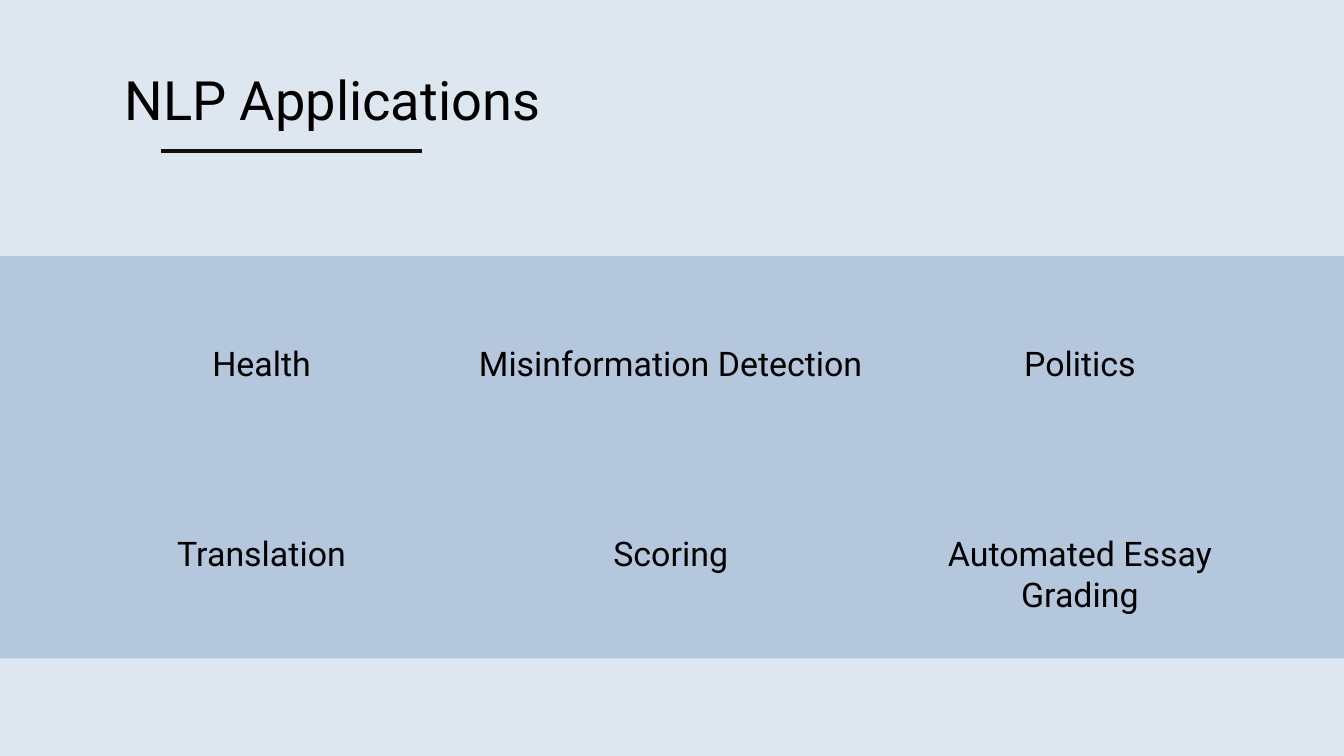
"""Build the NLP Applications slide: a title above a band with a grid of six topics."""
from lxml import etree
from pptx import Presentation
from pptx.dml.color import RGBColor
from pptx.enum.shapes import MSO_CONNECTOR, MSO_SHAPE
from pptx.enum.text import MSO_ANCHOR, MSO_AUTO_SIZE, PP_ALIGN
from pptx.oxml.ns import qn
from pptx.util import Inches, Pt

RECTANGLE = MSO_SHAPE.RECTANGLE
STRAIGHT = MSO_CONNECTOR.STRAIGHT
TOP, MIDDLE = MSO_ANCHOR.TOP, MSO_ANCHOR.MIDDLE
LEFT, CENTER = PP_ALIGN.LEFT, PP_ALIGN.CENTER
NO_FIT = MSO_AUTO_SIZE.NONE

THEME = {
    "font": "Roboto",
    "title_size": Pt(32),
    "topic_size": Pt(20),
    "text": RGBColor.from_string("000000"),
    "background": RGBColor.from_string("DEE6EF"),
    "band": RGBColor.from_string("B4C7DC"),
    "rule": RGBColor.from_string("140E0E"),
}
TOPICS = [
    ["Health", "Misinformation Detection", "Politics"],
    ["Translation", "Scoring", "Automated Essay Grading"],
]
GRID_LEFT, GRID_TOP = Inches(0.55), Inches(2.81)
COLUMN_STEP, ROW_STEP = Inches(3.355), Inches(1.56)
TOPIC_WIDTH, TOPIC_HEIGHT = Inches(3.19), Inches(1.18)


def write_text(shape, text, size, alignment, anchor):
    frame = shape.text_frame
    frame.word_wrap = True
    frame.auto_size = NO_FIT
    frame.vertical_anchor = anchor
    frame.margin_left = frame.margin_right = 0
    frame.margin_top = frame.margin_bottom = 0
    para = frame.paragraphs[0]
    para.alignment = alignment
    span = para.add_run()
    span.text = text
    span.font.name = THEME["font"]
    span.font.size = size
    span.font.color.rgb = THEME["text"]


deck = Presentation()
deck.slide_width, deck.slide_height = Inches(11.02), Inches(6.2)
page = deck.slides.add_slide(deck.slide_layouts.get_by_name("Title Only"))
page.background.fill.solid()
page.background.fill.fore_color.rgb = THEME["background"]

title = page.shapes.title
title.left, title.top = Inches(1.02), Inches(0.29)
title.width, title.height = Inches(9.92), Inches(1.04)
write_text(title, "NLP Applications", THEME["title_size"], LEFT, MIDDLE)

band = page.shapes.add_shape(RECTANGLE, 0, Inches(2.1), deck.slide_width, Inches(3.3))
band.shadow.inherit = False
band.fill.solid()
band.fill.fore_color.rgb = THEME["band"]
band.line.fill.background()

rule_y = Inches(1.24)
rule = page.shapes.add_connector(STRAIGHT, Inches(1.32), rule_y, Inches(3.46), rule_y)
rule.line.color.rgb = THEME["rule"]
rule.line.width = Pt(0)
etree.SubElement(rule._element.spPr, qn("a:effectLst"))

for row, topics in enumerate(TOPICS):
    for column, topic in enumerate(topics):
        box = page.shapes.add_textbox(
            GRID_LEFT + column * COLUMN_STEP,
            GRID_TOP + row * ROW_STEP,
            TOPIC_WIDTH,
            TOPIC_HEIGHT,
        )
        write_text(box, topic, THEME["topic_size"], CENTER, TOP)

deck.save("out.pptx")
